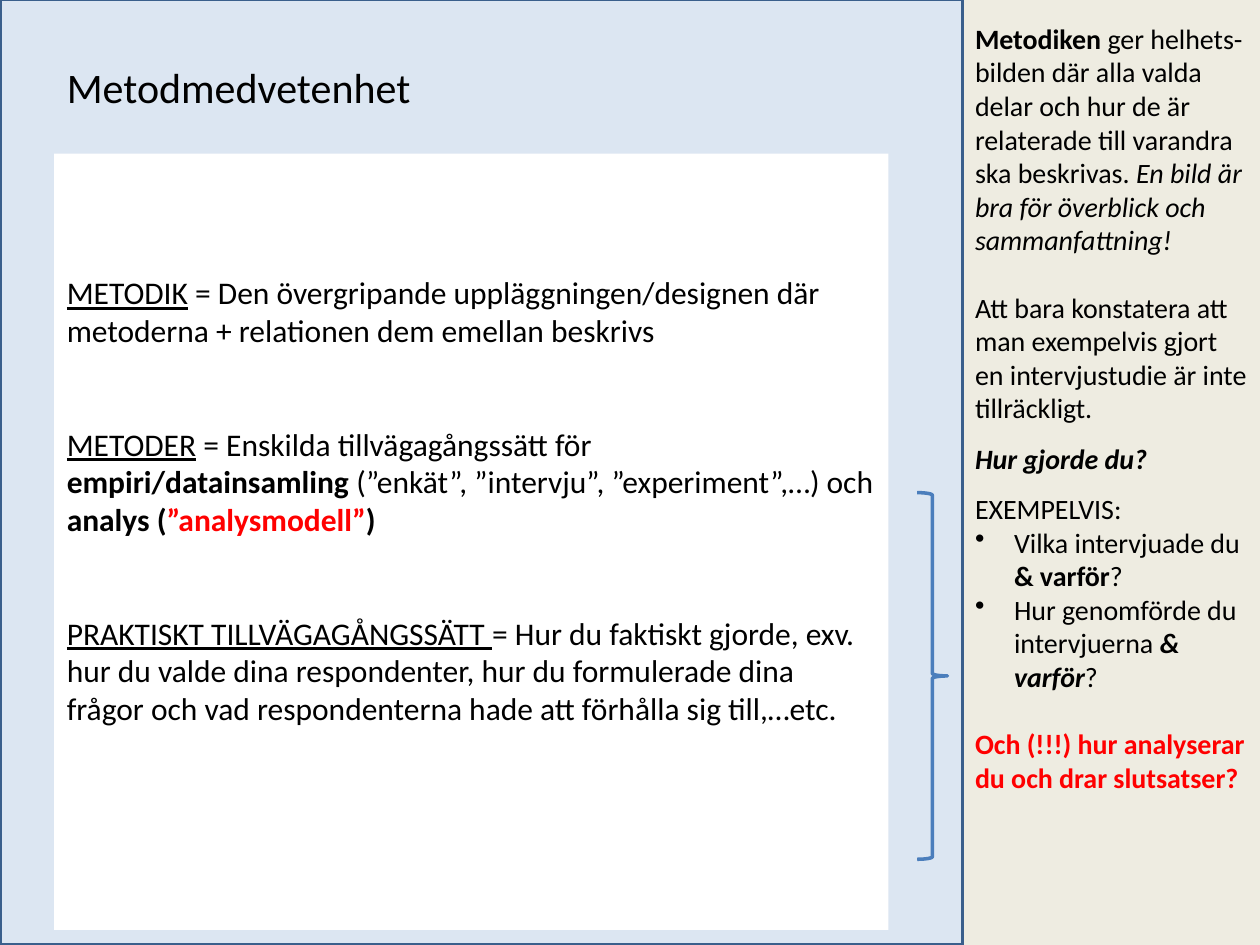
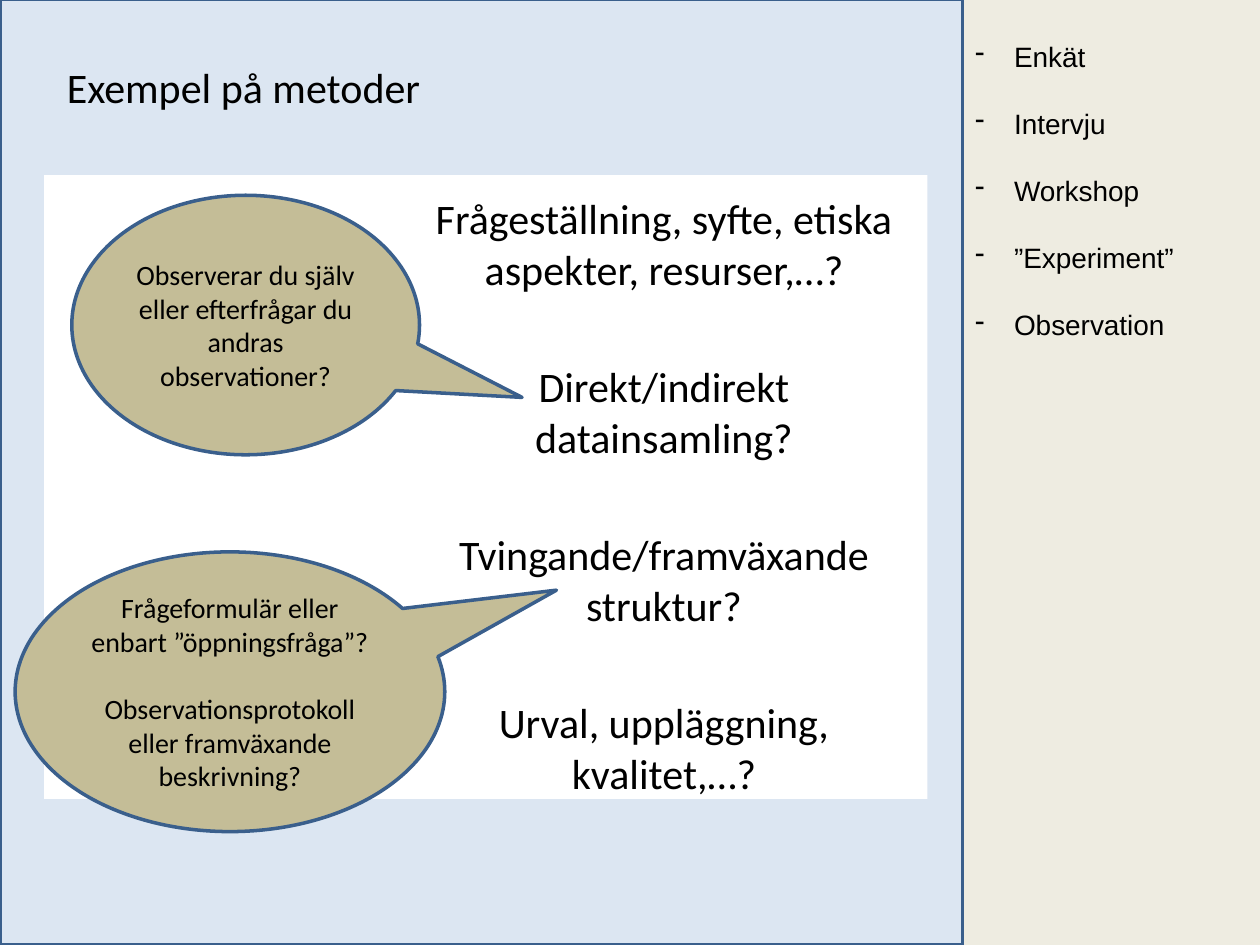
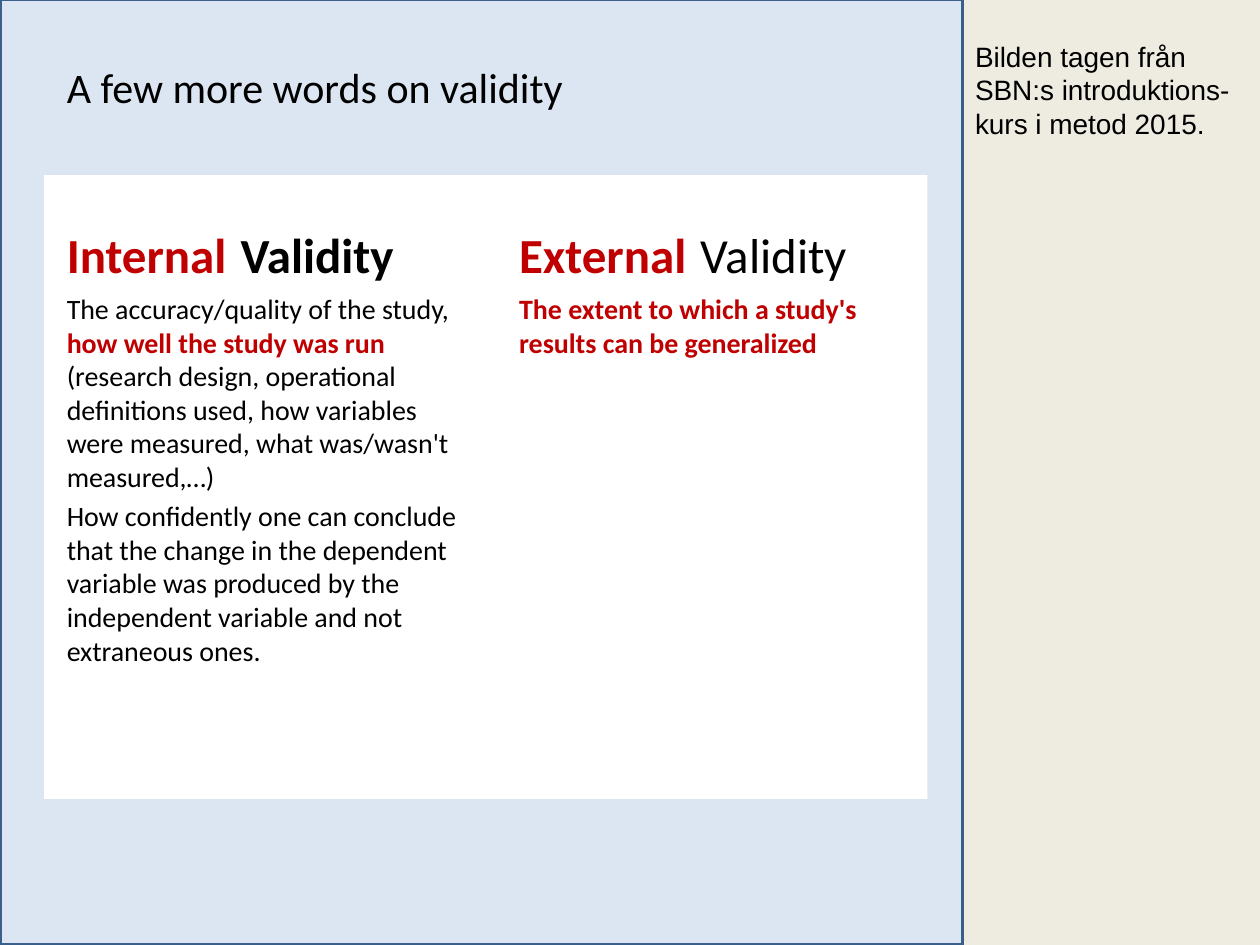
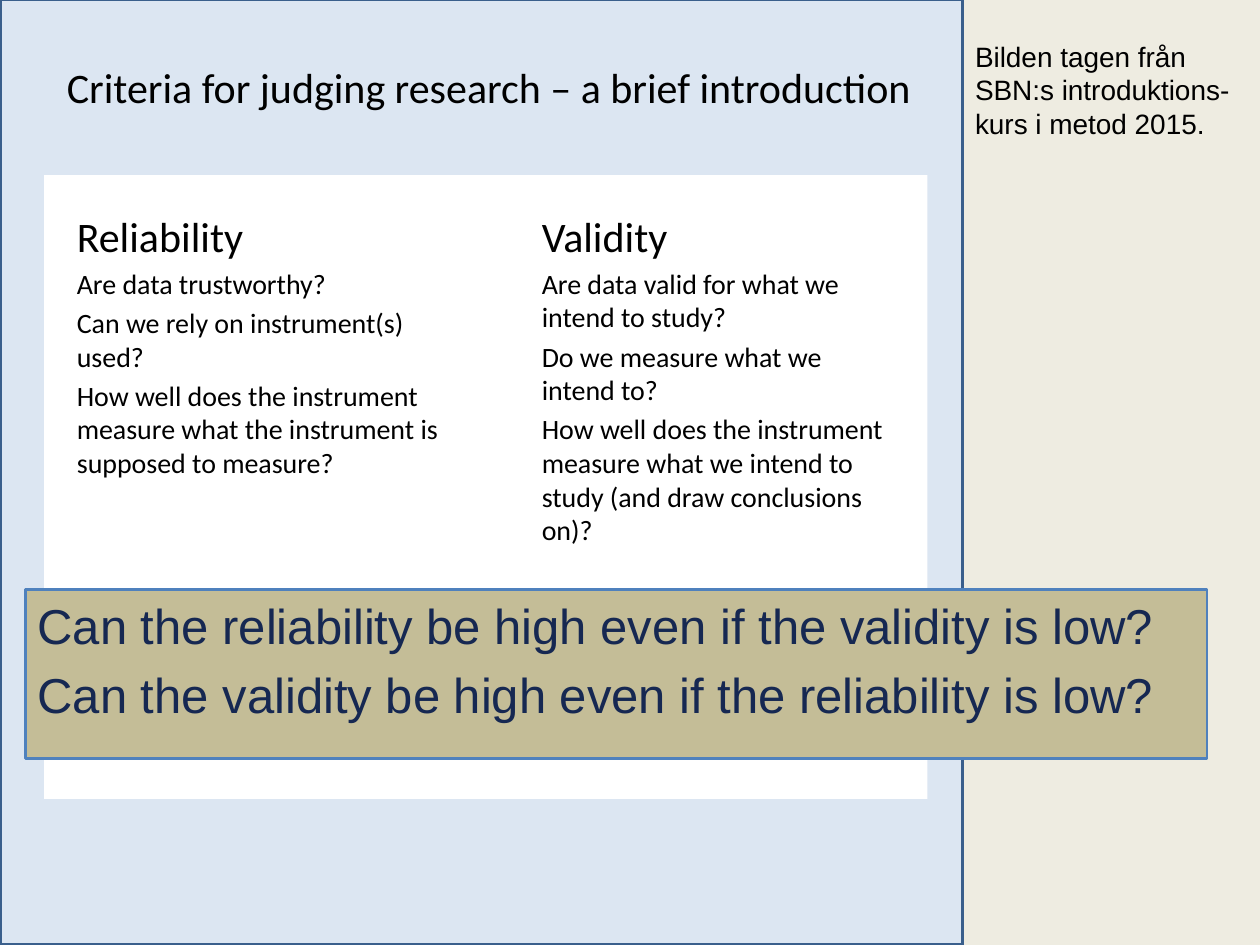
from dataclasses import dataclass

from lxml.etree import SubElement
from pptx import Presentation
from pptx.dml.color import RGBColor
from pptx.enum.shapes import MSO_SHAPE
from pptx.enum.text import MSO_ANCHOR, MSO_AUTO_SIZE, PP_ALIGN
from pptx.oxml.ns import qn
from pptx.util import Inches, Pt

BLACK = RGBColor(0x00, 0x00, 0x00)
WHITE = RGBColor(0xFF, 0xFF, 0xFF)
RED = RGBColor(0xFF, 0x00, 0x00)
DARK_RED = RGBColor(0xC0, 0x00, 0x00)
NAVY = RGBColor(0x16, 0x28, 0x52)
PALE_BLUE = RGBColor(0xDC, 0xE6, 0xF2)
CREAM = RGBColor(0xEE, 0xEC, 0xE1)
KHAKI = RGBColor(0xC4, 0xBD, 0x97)
EDGE = RGBColor(0x3A, 0x5F, 0x8C)
BRACE_BLUE = RGBColor(0x4B, 0x7E, 0xBC)
BANNER_BLUE = RGBColor(0x4F, 0x81, 0xBD)

LINE = 1.2
HANG = Inches(0.31)
MAIN = (0, -0.01, 7.64, 7.51)
SIDE = (7.64, -0.01, 2.36, 7.51)
TITLE = (0.43, 0.44, 6.94, 0.5)
CARD = (0.35, 1.39, 7.01, 4.95)
COURSE_NOTE = "Bilden tagen från SBN:s introduktions-kurs i metod 2015."


@dataclass
class Run:
    """A stretch of text with its own emphasis."""
    text: str
    bold: bool = False
    italic: bool = False
    underline: bool = False
    color: RGBColor = None
    size: float = None


@dataclass
class Para:
    """A paragraph of runs, with the gap before it in points."""
    runs: tuple
    gap: float = 0
    size: float = None
    bullet: str = None


def para(*runs, **options):
    """Make a paragraph from runs and plain strings."""
    return Para(tuple(Run(r) if isinstance(r, str) else r for r in runs), **options)


def set_bullet(p, char):
    """Give a paragraph a hanging bullet, or none at all."""
    pPr = p._p.get_or_add_pPr()
    pPr.set("marL", str(HANG if char else 0))
    pPr.set("indent", str(-HANG if char else 0))
    if char:
        SubElement(pPr, qn("a:buChar")).set("char", char)
    else:
        SubElement(pPr, qn("a:buNone"))


def write(shape, paras, size=16, font="Calibri", color=BLACK,
          align=PP_ALIGN.LEFT, anchor=MSO_ANCHOR.TOP, top=0.05):
    """Fill a shape with formatted paragraphs."""
    tf = shape.text_frame
    tf.word_wrap = True
    tf.auto_size = MSO_AUTO_SIZE.NONE
    tf.vertical_anchor = anchor
    tf.margin_top = Inches(top)
    for i, item in enumerate(paras):
        p = tf.add_paragraph() if i else tf.paragraphs[0]
        set_bullet(p, item.bullet)
        p.alignment = align
        p.space_before = Pt(item.gap if i else 0)
        base = item.size or size
        p.line_spacing = Pt(LINE * max(run.size or base for run in item.runs))
        for run in item.runs:
            r = p.add_run()
            r.text = run.text
            r.font.name = font
            r.font.size = Pt(run.size or base)
            r.font.bold = run.bold
            r.font.italic = run.italic
            r.font.underline = run.underline
            r.font.color.rgb = run.color or color


def place(shape, box):
    """Move a placeholder to a box, in front of what is already there."""
    shape.left, shape.top, shape.width, shape.height = map(Inches, box)
    tree = shape._element.getparent()
    tree.append(shape._element)
    return shape


def add_box(s, box, fill=None, line=None, width=2, kind=MSO_SHAPE.RECTANGLE):
    """Draw a flat preset shape."""
    sp = s.shapes.add_shape(kind, *map(Inches, box))
    sp.shadow.inherit = False
    if fill is None:
        sp.fill.background()
    else:
        sp.fill.solid()
        sp.fill.fore_color.rgb = fill
    if line is None:
        sp.line.fill.background()
    else:
        sp.line.color.rgb = line
        sp.line.width = Pt(width)
    return sp


def add_frame(prs, layout, title, side_paras, **side_style):
    """Start a slide with its side column, main panel and title."""
    s = prs.slides.add_slide(prs.slide_layouts.get_by_name(layout))
    write(add_box(s, SIDE, CREAM), side_paras, **side_style)
    add_box(s, MAIN, PALE_BLUE, EDGE)
    write(place(s.shapes.title, TITLE), [para(title)], size=24)
    return s


def add_callout(s, box, tip, paras):
    """Add an oval speech bubble pointing at tip."""
    sp = add_box(s, box, KHAKI, EDGE, kind=MSO_SHAPE.OVAL_CALLOUT)
    sp.adjustments[0], sp.adjustments[1] = tip
    write(sp, paras, align=PP_ALIGN.CENTER, anchor=MSO_ANCHOR.MIDDLE)


def add_columns(s, boxes, columns):
    """Put two text columns on a white card."""
    add_box(s, CARD, WHITE)
    bodies = list(s.placeholders)[1:]
    for body, box, paras in zip(bodies, boxes, columns):
        write(place(body, box), paras)


def awareness_slide(prs):
    """Build the slide on method awareness."""
    side = [
        para(Run("Metodiken", bold=True),
             " ger helhets-bilden där alla valda delar och hur de är "
             "relaterade till varandra ska beskrivas. ",
             Run("En bild är bra för överblick och sammanfattning!", italic=True)),
        para("Att bara konstatera att man exempelvis gjort en intervjustudie "
             "är inte tillräckligt.", gap=19.2),
        para(Run("Hur gjorde du?", bold=True, italic=True), gap=9.6),
        para("EXEMPELVIS:", gap=9.6),
        para("Vilka intervjuade du ", Run("& varför", bold=True), "?", bullet="•"),
        para("Hur genomförde du intervjuerna ",
             Run("& varför", bold=True, italic=True), "?", bullet="•"),
        para(Run("Och (!!!) hur analyserar du och drar slutsatser?",
                 bold=True, color=RED), gap=19.2),
    ]
    s = add_frame(prs, "Title and Content", "Metodmedvetenhet", side, top=0.18)
    body = place(s.placeholders[1], (0.43, 1.22, 6.62, 6.16))
    body.fill.solid()
    body.fill.fore_color.rgb = WHITE
    write(body, [
        para(Run("METODIK", underline=True),
             " = Den övergripande uppläggningen/designen där metoderna + "
             "relationen dem emellan beskrivs"),
        para(Run("METODER", underline=True), " = Enskilda tillvägagångssätt för ",
             Run("empiri/datainsamling", bold=True),
             " (”enkät”, ”intervju”, ”experiment”,…) och ",
             Run("analys (", bold=True),
             Run("”analysmodell”", bold=True, color=RED),
             Run(")", bold=True), gap=43.2),
        para(Run("PRAKTISKT TILLVÄGAGÅNGSSÄTT ", underline=True),
             "= Hur du faktiskt gjorde, exv. hur du valde dina respondenter, "
             "hur du formulerade dina frågor och vad respondenterna hade att "
             "förhålla sig till,…etc.", gap=43.2),
    ], size=18, top=0.95)
    add_box(s, (7.28, 3.91, 0.24, 2.91), line=BRACE_BLUE, kind=MSO_SHAPE.RIGHT_BRACE)


def methods_slide(prs):
    """Build the slide with example methods and two callouts."""
    methods = ("Enkät", "Intervju", "Workshop", "”Experiment”", "Observation")
    side = [para(name, gap=19.2, bullet="-") for name in methods]
    s = add_frame(prs, "Title and Content", "Exempel på metoder", side,
                  font="Arial", top=0.32)
    add_box(s, CARD, WHITE)
    questions = ("Frågeställning, syfte, etiska aspekter, resurser,…?",
                 "Direkt/indirekt datainsamling?",
                 "Tvingande/framväxande struktur?",
                 "Urval, uppläggning, kvalitet,…?")
    write(place(s.placeholders[1], (3.33, 1.48, 3.88, 4.95)),
          [para(q, gap=38.4) for q in questions], size=24, align=PP_ALIGN.CENTER)
    add_callout(s, (0.57, 1.55, 2.76, 2.06), (0.795, 0.279), [
        para("Observerar du själv"),
        para("eller efterfrågar du andras observationer?")])
    add_callout(s, (0.12, 4.38, 3.41, 2.22), (0.76, -0.363), [
        para("Frågeformulär eller enbart ”öppningsfråga”?"),
        para("Observationsprotokoll eller framväxande beskrivning?", gap=19.2)])


def validity_slide(prs):
    """Build the slide comparing internal and external validity."""
    s = add_frame(prs, "Two Content", "A few more words on validity",
                  [para(COURSE_NOTE)], font="Arial", top=0.32)
    internal = [
        para(Run("Internal", bold=True, color=DARK_RED), Run(" ", bold=True, size=36),
             Run("Validity", bold=True), size=28),
        para("The accuracy/quality of the study, ",
             Run("how well the study was run ", bold=True, color=DARK_RED),
             "(research design, operational definitions used, how variables "
             "were measured, what was/wasn't measured,…)", gap=3.2),
        para("How confidently one can conclude that the change in the dependent "
             "variable was produced by the independent variable and not "
             "extraneous ones.", gap=3.2),
    ]
    external = [
        para(Run("External", bold=True, color=DARK_RED), Run(" ", size=36),
             "Validity", size=28),
        para(Run("The extent to which a study's results can be generalized",
                 bold=True, color=DARK_RED), gap=3.2),
    ]
    add_columns(s, [(0.43, 1.62, 3.31, 4.95), (4.02, 1.62, 3.23, 4.95)],
                [internal, external])


def criteria_slide(prs):
    """Build the slide on reliability and validity with its question banner."""
    s = add_frame(prs, "Two Content",
                  "Criteria for judging research – a brief introduction",
                  [para(COURSE_NOTE)], font="Arial", top=0.32)
    criteria = {
        "Reliability": ("Are data trustworthy?",
                        "Can we rely on instrument(s) used?",
                        "How well does the instrument measure what the "
                        "instrument is supposed to measure?"),
        "Validity": ("Are data valid for what we intend to study?",
                     "Do we measure what we intend to?",
                     "How well does the instrument measure what we intend to "
                     "study (and draw conclusions on)?"),
    }
    columns = [[para(head, size=24)] + [para(q, gap=3.2) for q in questions]
               for head, questions in criteria.items()]
    add_columns(s, [(0.51, 1.62, 3.16, 4.95), (4.2, 1.62, 2.91, 4.95)], columns)
    banner = add_box(s, (0.2, 4.68, 9.38, 1.34), KHAKI, BANNER_BLUE, 1.5)
    write(banner, [
        para("Can the reliability be high even if the validity is low?"),
        para("Can the validity be high even if the reliability is low?", gap=5.6),
    ], size=28, font="Arial", color=NAVY)


def main():
    """Build the four slides and save them."""
    prs = Presentation()
    prs.slide_width, prs.slide_height = Inches(10), Inches(7.5)
    for build in (awareness_slide, methods_slide, validity_slide, criteria_slide):
        build(prs)
    prs.save("out.pptx")


if __name__ == "__main__":
    main()
